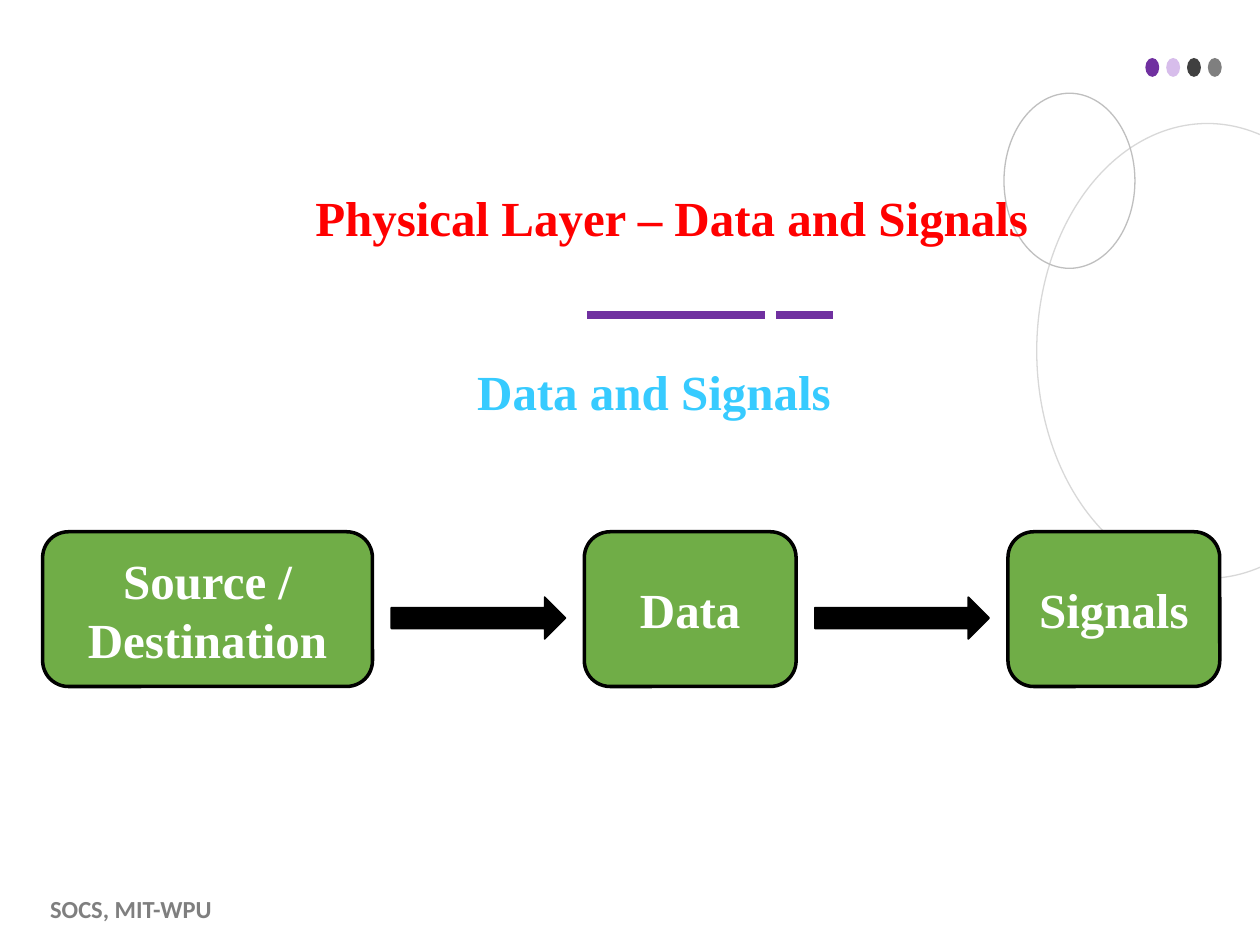
from lxml import etree
from pptx import Presentation
from pptx.dml.color import RGBColor
from pptx.enum.shapes import MSO_CONNECTOR, MSO_SHAPE
from pptx.enum.text import MSO_ANCHOR, MSO_AUTO_SIZE, PP_ALIGN
from pptx.oxml.ns import qn
from pptx.util import Cm, Pt

LINE = MSO_CONNECTOR.STRAIGHT
ELLIPSE, ROUNDED, ARROW = MSO_SHAPE.OVAL, MSO_SHAPE.ROUNDED_RECTANGLE, MSO_SHAPE.RIGHT_ARROW
TOP, MIDDLE, BOTTOM = MSO_ANCHOR.TOP, MSO_ANCHOR.MIDDLE, MSO_ANCHOR.BOTTOM
LEFT, CENTER = PP_ALIGN.LEFT, PP_ALIGN.CENTER
NO_AUTOFIT = MSO_AUTO_SIZE.NONE

PURPLE, GREEN, BLACK, WHITE = "7030A0", "70AD47", "000000", "FFFFFF"
HEADING = {"name": "Times New Roman", "size": Pt(28), "bold": True}
FOOTER = {"name": "Calibri", "size": Pt(14), "bold": True}


def paint(color_format, hex_color):
    color_format.rgb = RGBColor.from_string(hex_color)


def set_values(target, values):
    for attribute, value in values.items():
        setattr(target, attribute, value)


def place(shape, left, top, width, height):
    set_values(shape, {"left": Cm(left), "top": Cm(top),
                       "width": Cm(width), "height": Cm(height)})


def write(shape, text, font, color, anchor=TOP, align=LEFT, spacing=1.0,
          inset=(0.25, 0.13), bullet_off=False):
    """Fill a shape or placeholder with one formatted paragraph."""
    frame = shape.text_frame
    across, down = map(Cm, inset)
    set_values(frame, {"word_wrap": True, "auto_size": NO_AUTOFIT, "vertical_anchor": anchor,
                       "margin_left": across, "margin_right": across,
                       "margin_top": down, "margin_bottom": down})
    frame.text = text
    paragraph = frame.paragraphs[0]
    set_values(paragraph, {"alignment": align, "line_spacing": spacing, "space_before": Pt(0)})
    if bullet_off:
        properties = paragraph._p.get_or_add_pPr()
        properties.set("marL", "0")
        properties.set("indent", "0")
        etree.SubElement(properties, qn("a:buNone"))
    set_values(paragraph.runs[0].font, font)
    paint(paragraph.runs[0].font.color, color)


def add_figure(slide, kind, box, fill=None, line=None, line_width=1.0, alpha=None):
    figure = slide.shapes.add_shape(kind, *map(Cm, box))
    figure.shadow.inherit = False
    if fill:
        figure.fill.solid()
        paint(figure.fill.fore_color, fill)
    else:
        figure.fill.background()
    if alpha:
        color = figure._element.spPr.find(qn("a:solidFill"))[0]
        etree.SubElement(color, qn("a:alpha"), val=str(alpha * 1000))
    if line:
        paint(figure.line.color, line)
        figure.line.width = Pt(line_width)
    else:
        figure.line.fill.background()
    return figure


def add_rule(slide, start, end, top):
    rule = slide.shapes.add_connector(LINE, Cm(start), Cm(top), Cm(end), Cm(top))
    paint(rule.line.color, PURPLE)
    rule.line.width = Pt(4.5)
    etree.SubElement(rule._element.spPr, qn("a:effectLst"))


def add_decoration(slide):
    # Broken rule under the title
    for start, end in ((11.84, 15.42), (15.65, 16.79)):
        add_rule(slide, start, end, 6.35)
    # Row of dots in the corner
    dots = ((PURPLE, None), ("C7A2E3", 70), ("404040", None), ("7F7F7F", None))
    for index, (color, alpha) in enumerate(dots):
        add_figure(slide, ELLIPSE, (23.09 + 0.42 * index, 1.17, 0.28, 0.38),
                   fill=color, alpha=alpha)
    # Outlined rings on the right
    add_figure(slide, ELLIPSE, (20.9, 2.49, 6.88, 9.17), line="D8D8D8", line_width=0.75)
    add_figure(slide, ELLIPSE, (20.24, 1.88, 2.64, 3.53), line="BFBFBF", line_width=0.75)


def add_flow(slide):
    """Boxes from left to right with an arrow between neighbours."""
    left, gap, arrow_width = 0.86, 0.38, 3.51
    stages = (("Source / Destination", 6.65), ("Data", 4.27), ("Signals", 4.27))
    for index, (label, width) in enumerate(stages):
        if index:
            add_figure(slide, ARROW, (left + gap, 12.04, arrow_width, 0.84),
                       fill=BLACK, line=BLACK)
            left += arrow_width + 2 * gap
        stage = add_figure(slide, ROUNDED, (left, 10.72, width, 3.12),
                           fill=GREEN, line=BLACK, line_width=2)
        write(stage, label, HEADING, WHITE, MIDDLE, CENTER)
        left += width


def main():
    deck = Presentation()
    set_values(deck, {"slide_width": Cm(25.4), "slide_height": Cm(19.05)})
    slide = deck.slides.add_slide(deck.slide_layouts[1])
    title, footer = slide.placeholders
    add_decoration(slide)

    # Title and footer, brought in front of the decoration
    for placeholder in (footer, title):
        slide.shapes._spTree.append(placeholder._element)
    place(footer, 0.76, 17.96, 4.72, 0.69)
    write(footer, "SOCS, MIT-WPU", FOOTER, "7F7F7F", spacing=0.9, bullet_off=True)
    place(title, 4.6, 3.86, 17.88, 1.12)
    write(title, "Physical Layer – Data and Signals", HEADING, "FF0000",
          BOTTOM, CENTER, spacing=0.9, inset=(0, 0))

    # Subtitle
    subtitle = slide.shapes.add_textbox(Cm(9.37), Cm(7.16), Cm(8.81), Cm(2.24))
    write(subtitle, "Data and Signals", HEADING, "37CBFF")

    add_flow(slide)
    deck.save("out.pptx")


if __name__ == "__main__":
    main()
